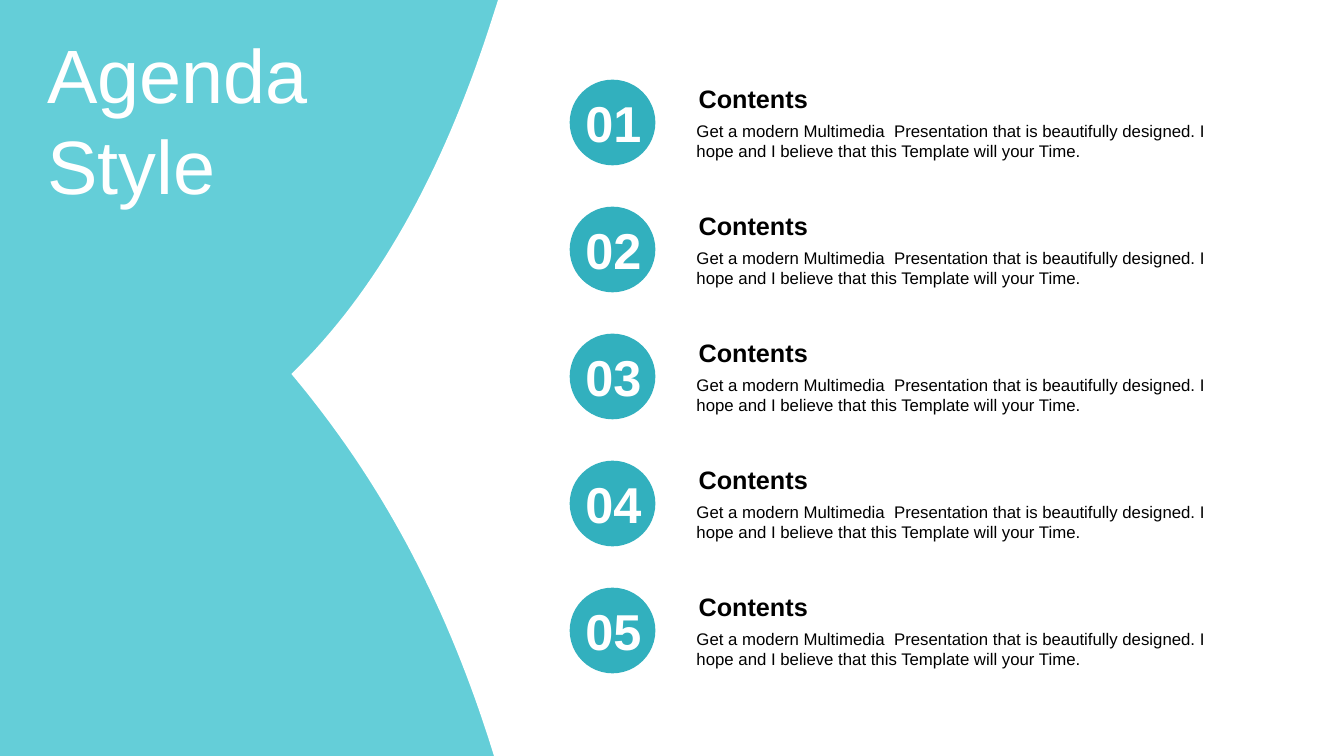
"""Build an agenda slide with five numbered entries beside a curved panel."""
from dataclasses import dataclass

from pptx import Presentation
from pptx.dml.color import RGBColor
from pptx.enum.shapes import MSO_SHAPE
from pptx.enum.text import MSO_ANCHOR, MSO_AUTO_SIZE, PP_ALIGN
from pptx.slide import Slide
from pptx.util import Inches, Pt

OVAL = MSO_SHAPE.OVAL
LEFT, CENTER = PP_ALIGN.LEFT, PP_ALIGN.CENTER
TOP, MIDDLE = MSO_ANCHOR.TOP, MSO_ANCHOR.MIDDLE
GROW = MSO_AUTO_SIZE.SHAPE_TO_FIT_TEXT

FONT = "Arial"
AQUA, TEAL, WHITE, BLACK = "64CED8", "32B0BE", "FFFFFF", "000000"
SLIDE_WIDTH, SLIDE_HEIGHT = 13.33, 7.5
FIRST_ENTRY_TOP, ENTRY_PITCH = 0.78, 1.26
CURVE_STEPS = 32

Point = tuple[float, float]


@dataclass(frozen=True)
class Entry:
    number: str
    heading: str
    description: str


@dataclass(frozen=True)
class TextStyle:
    size: int
    color: str
    bold: bool = False
    align: PP_ALIGN = LEFT
    anchor: MSO_ANCHOR = TOP
    side_inset: float = 0.1


TITLE = TextStyle(54, WHITE, anchor=MIDDLE)
HEADING = TextStyle(18, BLACK, bold=True, side_inset=0.12)
DESCRIPTION = TextStyle(12, BLACK)
NUMBER = TextStyle(36, WHITE, bold=True, align=CENTER, side_inset=0.12)

ENTRIES = [
    Entry(
        f"{position:02d}",
        "Contents",
        "Get a modern Multimedia  Presentation that is beautifully designed. "
        "I hope and I believe that this Template will your Time.",
    )
    for position in range(1, 6)
]


def rgb(color: str) -> RGBColor:
    return RGBColor.from_string(color)


def add_text(slide: Slide, text: str, style: TextStyle,
             left: float, top: float, width: float, height: float) -> None:
    box = slide.shapes.add_textbox(Inches(left), Inches(top), Inches(width), Inches(height))
    frame = box.text_frame
    frame.text = text
    frame.word_wrap = True
    frame.auto_size = GROW
    frame.vertical_anchor = style.anchor
    frame.margin_left = frame.margin_right = Inches(style.side_inset)
    frame.margin_top = frame.margin_bottom = Inches(0.05)
    for paragraph in frame.paragraphs:
        paragraph.alignment = style.align
        for run in paragraph.runs:
            run.font.name = FONT
            run.font.size = Pt(style.size)
            run.font.bold = style.bold
            run.font.color.rgb = rgb(style.color)


def curve(start: Point, control_1: Point, control_2: Point, end: Point) -> list[Point]:
    points = []
    for step in range(1, CURVE_STEPS + 1):
        t = step / CURVE_STEPS
        weights = ((1 - t) ** 3, 3 * t * (1 - t) ** 2, 3 * t ** 2 * (1 - t), t ** 3)
        anchors = (start, control_1, control_2, end)
        points.append((sum(w * x for w, (x, _) in zip(weights, anchors)),
                       sum(w * y for w, (_, y) in zip(weights, anchors))))
    return points


def add_content_panel(slide: Slide) -> None:
    lower, notch, upper = (4.84, 7.31), (2.89, 3.71), (4.85, 0.28)
    outline = [
        (SLIDE_WIDTH, 0), (SLIDE_WIDTH, SLIDE_HEIGHT), (4.9, SLIDE_HEIGHT), lower,
        *curve(lower, (4.39, 5.92), (3.77, 4.76), notch),
        *curve(notch, (3.74, 2.89), (4.38, 1.72), upper),
        (4.94, 0),
    ]
    corners = [(Inches(x), Inches(y)) for x, y in outline]
    builder = slide.shapes.build_freeform(*corners[0])
    builder.add_line_segments(corners[1:], close=True)
    panel = builder.convert_to_shape()
    panel.shadow.inherit = False
    panel.fill.solid()
    panel.fill.fore_color.rgb = rgb(WHITE)
    panel.line.fill.background()


def add_entry(slide: Slide, entry: Entry, top: float) -> None:
    add_text(slide, entry.description, DESCRIPTION, 6.81, top + 0.37, 5.6, 0.5)
    add_text(slide, entry.heading, HEADING, 6.81, top, 5.6, 0.4)
    badge = slide.shapes.add_shape(
        OVAL, Inches(5.65), Inches(top + 0.01), Inches(0.85), Inches(0.85))
    badge.shadow.inherit = False
    badge.fill.solid()
    badge.fill.fore_color.rgb = rgb(TEAL)
    badge.line.fill.background()
    add_text(slide, entry.number, NUMBER, 5.56, top + 0.08, 1.05, 0.71)


def main() -> None:
    presentation = Presentation()
    presentation.slide_width = Inches(SLIDE_WIDTH)
    presentation.slide_height = Inches(SLIDE_HEIGHT)
    slide = presentation.slides.add_slide(presentation.slide_layouts[6])
    slide.background.fill.solid()
    slide.background.fill.fore_color.rgb = rgb(AQUA)
    add_content_panel(slide)
    add_text(slide, "Agenda\nStyle", TITLE, 0.37, 0.22, 3.82, 1.92)
    for row, entry in enumerate(ENTRIES):
        add_entry(slide, entry, FIRST_ENTRY_TOP + row * ENTRY_PITCH)
    presentation.save("out.pptx")


if __name__ == "__main__":
    main()
